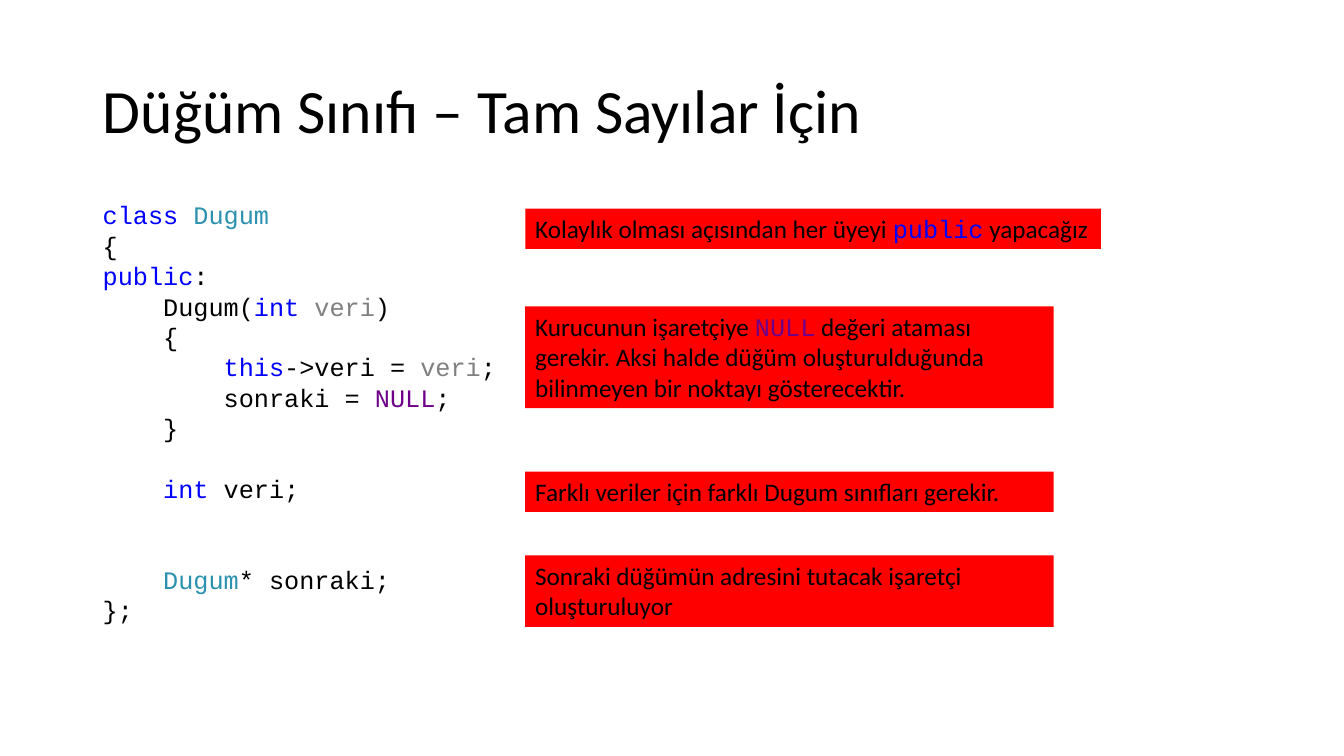
"""Build the slide that explains the integer node class."""
from dataclasses import dataclass
from typing import NamedTuple

from pptx import Presentation
from pptx.dml.color import RGBColor
from pptx.enum.shapes import MSO_SHAPE
from pptx.enum.text import MSO_ANCHOR, MSO_AUTO_SIZE, PP_ALIGN
from pptx.util import Inches, Pt

COLORS = {
    "plain": "000000",
    "keyword": "0000FF",
    "type": "2B91AF",
    "parameter": "808080",
    "macro": "6F008A",
    "note": "FF0000",
}
BODY_FONT = "Calibri"
CODE_FONT = "Courier New"
CODE_LINE_HEIGHT = 21.7
NOTE_LEFT = 5.21


class Piece(NamedTuple):
    """A piece of text with its colour and font."""
    text: str
    color: str = "plain"
    font: str = ""


class Line(NamedTuple):
    """A line of text and the number of empty lines above it."""
    pieces: list[Piece]
    gap: int = 0


@dataclass
class Note:
    """A red explanation box beside the code."""
    top: float
    height: float
    pieces: list[Piece]
    width: float = 5.24


CODE = [
    Line([Piece("class ", "keyword"), Piece("Dugum", "type")]),
    Line([Piece("{")]),
    Line([Piece("public", "keyword"), Piece(":")]),
    Line([Piece("    Dugum("), Piece("int ", "keyword"), Piece("veri", "parameter"), Piece(")")]),
    Line([Piece("    {")]),
    Line([Piece("        "), Piece("this", "keyword"), Piece("->veri = "),
          Piece("veri", "parameter"), Piece(";")]),
    Line([Piece("        sonraki = "), Piece("NULL", "macro"), Piece(";")]),
    Line([Piece("    }")]),
    Line([Piece("    "), Piece("int ", "keyword"), Piece("veri;")], gap=1),
    Line([Piece("    "), Piece("Dugum", "type"), Piece("* sonraki;")], gap=2),
    Line([Piece("};")]),
]

NOTES = [
    Note(2.07, 0.4, [Piece("Kolaylık olması açısından her üyeyi "),
                     Piece("public", "keyword", CODE_FONT), Piece(" yapacağız")], width=5.71),
    Note(3.04, 1.01, [Piece("Kurucunun işaretçiye "), Piece("NULL", "macro", CODE_FONT),
                      Piece(" değeri ataması gerekir. Aksi halde düğüm oluşturulduğunda "
                            "bilinmeyen bir noktayı gösterecektir.")]),
    Note(4.68, 0.4, [Piece("Farklı veriler için farklı Dugum sınıfları gerekir.")]),
    Note(5.51, 0.71, [Piece("Sonraki düğümün adresini tutacak işaretçi oluşturuluyor")]),
]


def write_lines(shape, lines: list[Line], *, font: str = BODY_FONT, size: float = 18,
                anchor=MSO_ANCHOR.TOP, spacing=1.0) -> None:
    """Fill a shape with left-aligned lines of coloured text."""
    frame = shape.text_frame
    frame.word_wrap = True
    frame.auto_size = MSO_AUTO_SIZE.NONE
    frame.vertical_anchor = anchor
    for index, line in enumerate(lines):
        paragraph = frame.add_paragraph() if index else frame.paragraphs[0]
        paragraph.alignment = PP_ALIGN.LEFT
        paragraph.line_spacing = spacing
        if line.gap:
            paragraph.space_before = Pt(line.gap * CODE_LINE_HEIGHT)
        for piece in line.pieces:
            run = paragraph.add_run()
            run.text = piece.text
            run.font.name = piece.font or font
            run.font.size = Pt(size)
            run.font.color.rgb = RGBColor.from_string(COLORS[piece.color])


def add_title(slide, text: str) -> None:
    """Place and format the title placeholder."""
    title = slide.shapes.title
    title.left, title.top = Inches(0.92), Inches(0.4)
    title.width, title.height = Inches(11.5), Inches(1.45)
    write_lines(title, [Line([Piece(text)])], size=44, anchor=MSO_ANCHOR.MIDDLE, spacing=0.9)


def add_code(slide) -> None:
    """Add the class listing."""
    box = slide.shapes.add_textbox(Inches(0.92), Inches(1.93), Inches(4.44), Inches(4.34))
    write_lines(box, CODE, font=CODE_FONT, spacing=Pt(CODE_LINE_HEIGHT))


def add_note(slide, note: Note) -> None:
    """Add one red explanation box."""
    shape = slide.shapes.add_shape(MSO_SHAPE.RECTANGLE, Inches(NOTE_LEFT), Inches(note.top),
                                   Inches(note.width), Inches(note.height))
    shape.shadow.inherit = False
    shape.fill.solid()
    shape.fill.fore_color.rgb = RGBColor.from_string(COLORS["note"])
    shape.line.fill.background()
    write_lines(shape, [Line(note.pieces)])


def main() -> None:
    """Create and save the presentation."""
    presentation = Presentation()
    presentation.slide_width, presentation.slide_height = Inches(13.33), Inches(7.5)
    slide = presentation.slides.add_slide(presentation.slide_layouts.get_by_name("Title Only"))
    add_title(slide, "Düğüm Sınıfı – Tam Sayılar İçin")
    add_code(slide)
    for note in NOTES:
        add_note(slide, note)
    presentation.save("out.pptx")


if __name__ == "__main__":
    main()
